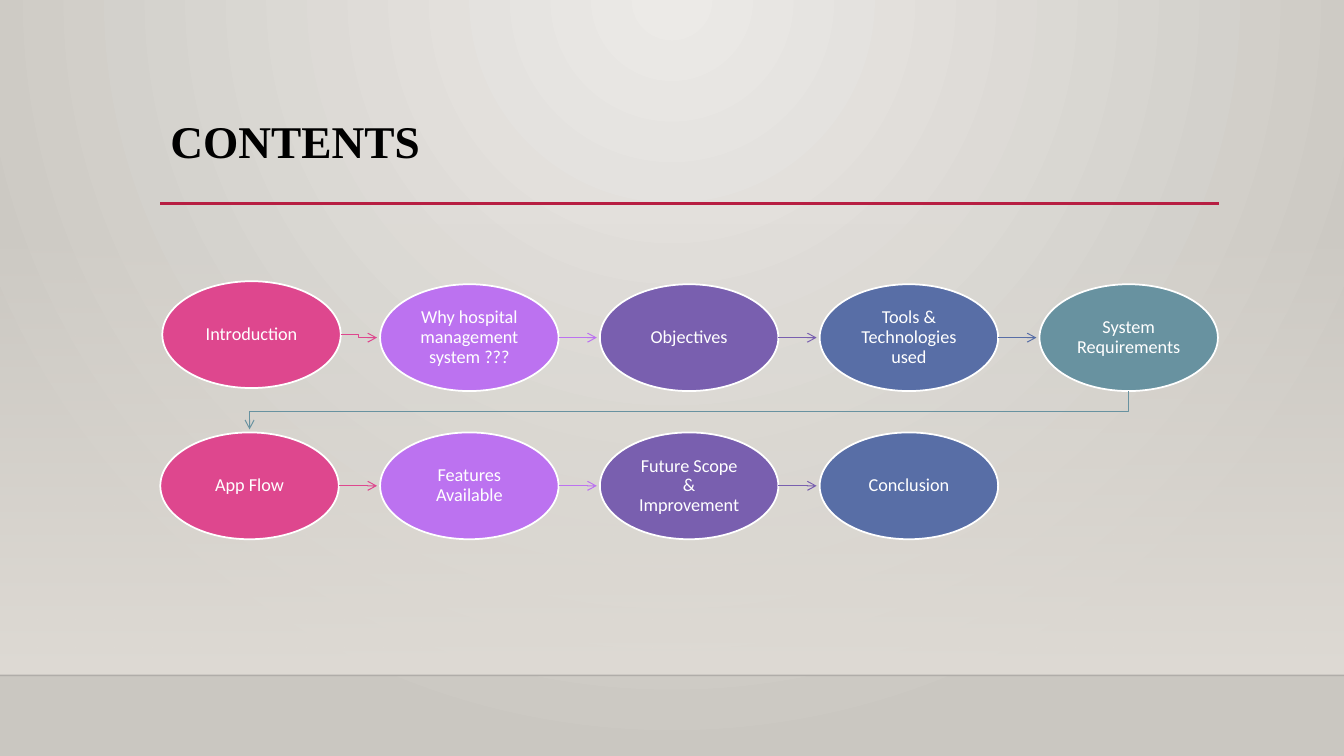
from lxml import etree
from pptx import Presentation
from pptx.dml.color import RGBColor
from pptx.enum.shapes import MSO_CONNECTOR, MSO_SHAPE
from pptx.enum.text import MSO_ANCHOR, PP_ALIGN
from pptx.oxml.ns import qn
from pptx.util import Inches, Pt

STRAIGHT = MSO_CONNECTOR.STRAIGHT
ELLIPSE, RECTANGLE = MSO_SHAPE.OVAL, MSO_SHAPE.RECTANGLE
TOP, MIDDLE = MSO_ANCHOR.TOP, MSO_ANCHOR.MIDDLE
LEFT, CENTER = PP_ALIGN.LEFT, PP_ALIGN.CENTER

SLIDE_W, SLIDE_H = 13.33, 7.5
FLOOR_Y = 6.7
COLORS = {
    "glow": "ECEAE7", "edge": "CAC7C1", "wall": "DFDBD5", "floor": "000001",
    "rule": "B71E42", "title": "000000", "white": "FFFFFF",
    "pink": "DE478E", "violet": "BC72F0", "purple": "795FAF",
    "blue": "586EA6", "teal": "6892A0",
}
COLUMN_COLORS = ["pink", "violet", "purple", "blue", "teal"]
TOPICS = [
    ["Introduction", "Why hospital management system ???", "Objectives",
     "Tools & Technologies used", "System Requirements"],
    ["App Flow", "Features Available", "Future Scope & Improvement", "Conclusion"],
]
TOPIC_W, TOPIC_H = 1.77, 1.06
ARROW_GAP = 0.03
FIRST_SHIFT = (0.02, -0.03)  # the first topic sits slightly off the grid


def rgb(name):
    return RGBColor.from_string(COLORS[name])


def set_alpha(color_element, percent):
    etree.SubElement(color_element, qn("a:alpha"), val=str(percent * 1000))


def set_gradient(fill, first, last):
    fill.gradient()
    for stop, name, position in zip(fill.gradient_stops, (first, last), (0, 1)):
        stop.color.rgb = rgb(name)
        stop.position = position


def write(shape, text, *, font, size, color, bold=False, align=CENTER,
          anchor=MIDDLE, margins=(0.09, 0.09, 0.09, 0.09)):
    frame = shape.text_frame
    frame.word_wrap = True
    frame.vertical_anchor = anchor
    (frame.margin_left, frame.margin_top,
     frame.margin_right, frame.margin_bottom) = map(Inches, margins)
    paragraph = frame.paragraphs[0]
    paragraph.alignment = align
    paragraph.line_spacing = 0.9
    run = paragraph.add_run()
    run.text = text
    run.font.name, run.font.size, run.font.bold = font, Pt(size), bold
    run.font.color.rgb = rgb(color)


def add_line(slide, start, end, color, width):
    line = slide.shapes.add_connector(STRAIGHT, *map(Inches, (*start, *end)))
    line.line.color.rgb = rgb(color)
    line.line.width = Pt(width)
    etree.SubElement(line.element.spPr, qn("a:effectLst"))
    return line


def add_arrow(slide, points, color):
    """Straight between two points, bent through more."""
    if len(points) == 2:
        arrow = add_line(slide, *points, color, 0.75)
    else:
        corners = [(Inches(x), Inches(y)) for x, y in points]
        builder = slide.shapes.build_freeform(*corners[0])
        builder.add_line_segments(corners[1:], close=False)
        arrow = builder.convert_to_shape()
        arrow.shadow.inherit = False
        arrow.fill.background()
        arrow.line.color.rgb = rgb(color)
        arrow.line.width = Pt(0.75)
    outline = arrow.element.spPr.find(qn("a:ln"))
    etree.SubElement(outline, qn("a:tailEnd"), type="arrow")


def draw_backdrop(slide):
    # Radial glow from the top centre
    fill = slide.background.fill
    set_gradient(fill, "glow", "edge")
    gradient = slide.element.find(".//" + qn("p:bgPr")).find(qn("a:gradFill"))
    gradient.remove(gradient.find(qn("a:lin")))
    circle = etree.SubElement(gradient, qn("a:path"), path="circle")
    etree.SubElement(circle, qn("a:fillToRect"), l="43000", t="0", r="43000", b="100000")

    # Wall fading in down to the floor line
    wall_y = 2.21
    wall = slide.shapes.add_shape(
        RECTANGLE, 0, Inches(wall_y), Inches(SLIDE_W), Inches(FLOOR_Y - wall_y))
    wall.shadow.inherit = False
    wall.line.fill.background()
    set_gradient(wall.fill, "wall", "wall")
    wall.fill.gradient_angle = 270
    set_alpha(wall.element.spPr.find(".//" + qn("a:srgbClr")), 0)

    floor = add_line(slide, (0, FLOOR_Y), (SLIDE_W, FLOOR_Y), "floor", 1)
    set_alpha(floor.element.spPr.find(".//" + qn("a:srgbClr")), 20)


def draw_title(slide, left, top, width, height):
    title = slide.shapes.title
    title.left, title.top, title.width, title.height = map(
        Inches, (left, top, width, height))
    write(title, "CONTENTS", font="Times New Roman", size=32.4, color="title",
          bold=True, align=LEFT, anchor=TOP, margins=(0.1, 0.3, 0.1, 0.05))
    rule_y = top + height - 0.01
    add_line(slide, (left, rule_y), (left + width, rule_y), "rule", 2.5)


def draw_topic(slide, left, top, text, color):
    topic = slide.shapes.add_shape(
        ELLIPSE, *map(Inches, (left, top, TOPIC_W, TOPIC_H)))
    topic.shadow.inherit = False
    topic.fill.solid()
    topic.fill.fore_color.rgb = rgb(color)
    topic.line.color.rgb = rgb("white")
    topic.line.width = Pt(1.25)
    write(topic, text, font="Calibri", size=13, color="white")


def draw_flow(slide, left, top, column_step, row_step):
    for row, topics in enumerate(TOPICS):
        for column, (text, color) in enumerate(zip(topics, COLUMN_COLORS)):
            shift_x, shift_y = FIRST_SHIFT if row == column == 0 else (0, 0)
            x = left + column * column_step + shift_x
            y = top + row * row_step + shift_y
            draw_topic(slide, x, y, text, color)

            # Arrow to the next topic, or down to the next row
            if column < len(topics) - 1:
                start = (x + TOPIC_W, y + TOPIC_H / 2)
                end = (left + (column + 1) * column_step - ARROW_GAP,
                       start[1] - shift_y)
                bend_x = (start[0] + end[0]) / 2
                bend = [(bend_x, start[1]), (bend_x, end[1])] if shift_y else []
                add_arrow(slide, [start, *bend, end], color)
            elif row < len(TOPICS) - 1:
                start_x, end_x = x + TOPIC_W / 2, left + TOPIC_W / 2
                next_y = y + row_step
                turn_y = (y + TOPIC_H + next_y) / 2
                add_arrow(slide, [(start_x, y + TOPIC_H), (start_x, turn_y),
                                  (end_x, turn_y), (end_x, next_y - ARROW_GAP)], color)


def main():
    deck = Presentation()
    deck.slide_width, deck.slide_height = Inches(SLIDE_W), Inches(SLIDE_H)
    slide = deck.slides.add_slide(deck.slide_layouts[5])
    draw_backdrop(slide)
    draw_title(slide, 1.59, 0.88, 10.5, 1.15)
    draw_flow(slide, 1.59, 2.82, 2.18, 1.47)
    deck.save("out.pptx")


if __name__ == "__main__":
    main()
